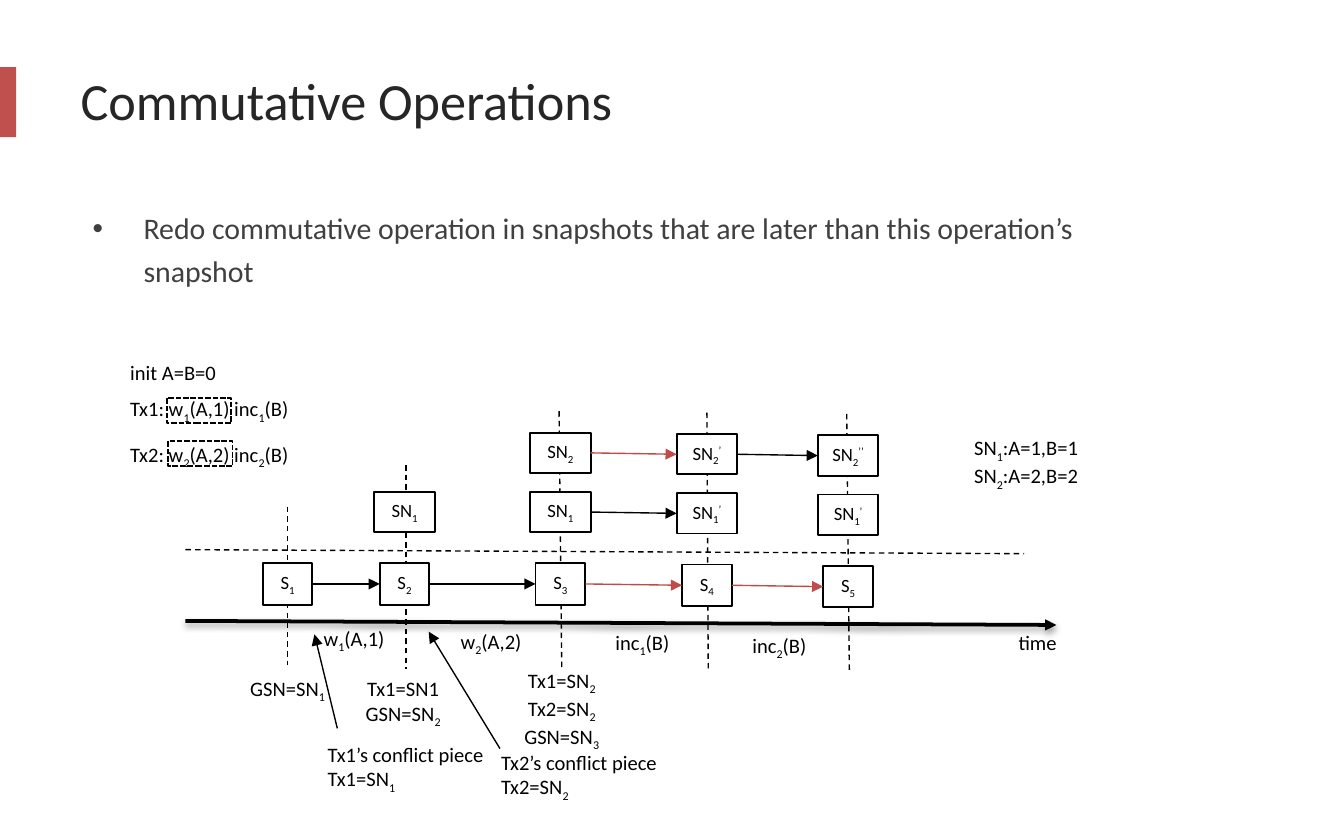
from lxml import etree
from pptx import Presentation
from pptx.dml.color import RGBColor
from pptx.enum.dml import MSO_LINE
from pptx.enum.shapes import MSO_CONNECTOR, MSO_SHAPE
from pptx.enum.text import MSO_ANCHOR, PP_ALIGN
from pptx.oxml.ns import qn
from pptx.util import Inches, Pt

LEFT, CENTER = PP_ALIGN.LEFT, PP_ALIGN.CENTER
MIDDLE = MSO_ANCHOR.MIDDLE
RECT = MSO_SHAPE.RECTANGLE
STRAIGHT = MSO_CONNECTOR.STRAIGHT
DASH, SMALL_DASH = MSO_LINE.DASH, MSO_LINE.SQUARE_DOT
RIGHT_SITE, LEFT_SITE = 3, 1

FONT = "Calibri"
COLORS = {"ink": "000000", "paper": "FFFFFF", "bar": "C0504D",
          "redo": "BF4C48", "title": "262626", "body": "404040"}

# In all wording below, "_" lowers the next character and "^" raises it.
TITLE = "Commutative Operations"
BULLET = ("Redo commutative operation in snapshots that are later "
          "than this operation’s snapshot")

# Row name: top, box width, box height
ROWS = {"S": (4.19, 0.37, 0.31), "SN1": (3.66, 0.45, 0.3), "SN2": (3.22, 0.45, 0.3)}

# Centre, drop below the row top, guide (from, to), boxes by row
MOMENTS = [
    (2.14, 0, (2.14, 3.77, 2.14, 4.95), {"S": "S_1"}),
    (3.01, 0, (3.02, 3.46, 3.02, 4.98), {"S": "S_2", "SN1": "SN_1"}),
    (4.17, 0, (4.16, 3.06, 4.18, 4.99), {"S": "S_3", "SN1": "SN_1", "SN2": "SN_2"}),
    (5.26, 0.01, (5.26, 3.07, 5.27, 5), {"S": "S_4", "SN1": "SN_1^’", "SN2": "SN_2^’"}),
    (6.31, 0.02, (6.3, 3.08, 6.32, 5.01), {"S": "S_5", "SN1": "SN_1^’", "SN2": "SN_2^’^’"}),
]

# Row, index of the moment it starts from, colour
STEPS = [("S", 0, "ink"), ("S", 1, "ink"), ("S", 2, "redo"), ("S", 3, "redo"),
         ("SN1", 2, "ink"), ("SN2", 2, "redo"), ("SN2", 3, "ink")]

# Place, alignment, lines
LABELS = [
    ((0.87, 2.63, 0.91, 0.29), LEFT, ["init A=B=0"]),
    ((0.87, 2.9, 1.73, 0.29), LEFT, ["Tx1: w_1(A,1) inc_1(B)"]),
    ((0.87, 3.24, 2.24, 0.29), LEFT, ["Tx2: w_2(A,2) inc_2(B)"]),
    ((7.15, 3.19, 1.72, 0.48), LEFT, ["SN_1:A=1,B=1", "SN_2:A=2,B=2"]),
    ((2.31, 4.61, 1.11, 0.29), LEFT, ["w_1(A,1)"]),
    ((3.33, 4.63, 0.67, 0.29), LEFT, ["w_2(A,2)"]),
    ((4.48, 4.64, 0.61, 0.29), LEFT, ["inc_1(B)"]),
    ((5.5, 4.66, 0.61, 0.29), LEFT, ["inc_2(B)"]),
    ((7.48, 4.64, 0.55, 0.29), LEFT, ["time"]),
    ((1.69, 4.98, 0.9, 0.29), CENTER, ["GSN=SN_1"]),
    ((2.55, 4.98, 0.9, 0.47), CENTER, ["Tx1=SN1", "GSN=SN_2"]),
    ((3.73, 4.92, 0.9, 0.66), CENTER, ["Tx1=SN_2", "Tx2=SN_2", "GSN=SN_3"]),
    ((2.34, 5.47, 1.44, 0.47), LEFT, ["Tx1’s conflict piece Tx1=SN_1"]),
    ((3.63, 5.53, 1.44, 0.47), LEFT, ["Tx2’s conflict piece Tx2=SN_2"]),
]
WRITE_FRAMES = [(1.24, 2.96, 0.48, 0.19), (1.25, 3.28, 0.48, 0.19)]
CONFLICT_POINTERS = [(2.51, 5.42, 2.34, 4.72), (3.72, 5.57, 3.19, 4.7)]
DIVIDER = (1.38, 4.09, 7.62, 4.12)
TIME_AXIS = (1.38, 4.62, 7.86, 4.65)


def rgb(name):
    return RGBColor.from_string(COLORS[name])


def style(paragraph, size, color="ink", align=LEFT):
    paragraph.alignment = align
    paragraph.font.name = FONT
    paragraph.font.size = Pt(size)
    paragraph.font.color.rgb = rgb(color)


def write(paragraph, marked):
    """Add runs, turning "_" and "^" marks into lowered and raised characters."""
    pieces, shift = [], 0
    for char in marked:
        if char in "_^":
            shift = -25000 if char == "_" else 30000
            continue
        if pieces and pieces[-1][1] == shift:
            pieces[-1][0] += char
        else:
            pieces.append([char, shift])
        shift = 0
    for text, baseline in pieces:
        run = paragraph.add_run()
        run.text = text
        if baseline:
            run.font._element.set("baseline", str(baseline))


def add_label(place, align, lines):
    frame = slide.shapes.add_textbox(*map(Inches, place)).text_frame
    frame.word_wrap = True
    for i, line in enumerate(lines):
        paragraph = frame.add_paragraph() if i else frame.paragraphs[0]
        write(paragraph, line)
        style(paragraph, 11, align=align)


def add_rect(place, fill=None, dash=None, outlined=True):
    rect = slide.shapes.add_shape(RECT, *map(Inches, place))
    rect.shadow.inherit = False
    if fill:
        rect.fill.solid()
        rect.fill.fore_color.rgb = rgb(fill)
    else:
        rect.fill.background()
    if outlined:
        rect.line.color.rgb = rgb("ink")
        rect.line.width = Pt(1)
        rect.line.dash_style = dash
    else:
        rect.line.fill.background()
    return rect


def add_line(ends=(0, 0, 0, 0), color="ink", width=0.75, dash=None, arrow=False):
    line = slide.shapes.add_connector(STRAIGHT, *map(Inches, ends))
    line.line.color.rgb = rgb(color)
    line.line.width = Pt(width)
    line.line.dash_style = dash
    if arrow:
        etree.SubElement(line.line._get_or_add_ln(), qn("a:tailEnd"), type="triangle")
    etree.SubElement(line._element.spPr, qn("a:effectLst"))
    return line


def add_shadow(line):
    effects = line._element.spPr.find(qn("a:effectLst"))
    shadow = etree.SubElement(effects, qn("a:outerShdw"), blurRad=str(Pt(3.1)),
                              dist=str(Pt(1.6)), dir="5400000", rotWithShape="0")
    shade = etree.SubElement(shadow, qn("a:srgbClr"), val=COLORS["ink"])
    etree.SubElement(shade, qn("a:alpha"), val="38000")


def add_box(row, center, drop, text):
    top, width, height = ROWS[row]
    box = add_rect((center - width / 2, top + drop, width, height), "paper")
    frame = box.text_frame
    frame.margin_left = frame.margin_right = 0
    frame.vertical_anchor = MIDDLE
    write(frame.paragraphs[0], text)
    style(frame.paragraphs[0], 10, align=CENTER)
    return box


prs = Presentation()
prs.slide_width, prs.slide_height = Inches(10), Inches(6.25)
slide = prs.slides.add_slide(prs.slide_layouts[5])

add_rect((-0.06, 0.5, 0.18, 0.52), "bar", outlined=False)

title = slide.shapes.title
title.left, title.top, title.width, title.height = map(Inches, (0.5, 0.25, 9, 0.98))
title.text_frame.text = TITLE
title.text_frame.vertical_anchor = MIDDLE
style(title.text_frame.paragraphs[0], 28, "title")

body = slide.shapes.add_textbox(*map(Inches, (0.59, 1.46, 7.95, 1.12))).text_frame
body.word_wrap = True
point = body.paragraphs[0]
point.text = BULLET
point.line_spacing = 1.2
properties = point._p.get_or_add_pPr()
properties.set("marL", str(Inches(0.38)))
properties.set("indent", str(Inches(-0.38)))
etree.SubElement(properties, qn("a:buFont"), typeface="Arial")
etree.SubElement(properties, qn("a:buChar"), char="•")
style(point, 16, "body")

for _, _, guide, _ in MOMENTS:
    add_line(guide, dash=DASH)
add_line(DIVIDER, dash=DASH)
add_shadow(add_line(TIME_AXIS, width=2, arrow=True))

for label in LABELS:
    add_label(*label)
for frame_place in WRITE_FRAMES:
    add_rect(frame_place, dash=SMALL_DASH)

boxes = [{row: add_box(row, center, drop, text) for row, text in states.items()}
         for center, drop, _, states in MOMENTS]
for row, start, color in STEPS:
    step = add_line(color=color, arrow=True)
    step.begin_connect(boxes[start][row], RIGHT_SITE)
    step.end_connect(boxes[start + 1][row], LEFT_SITE)
for pointer in CONFLICT_POINTERS:
    add_line(pointer, arrow=True)

prs.save("out.pptx")
